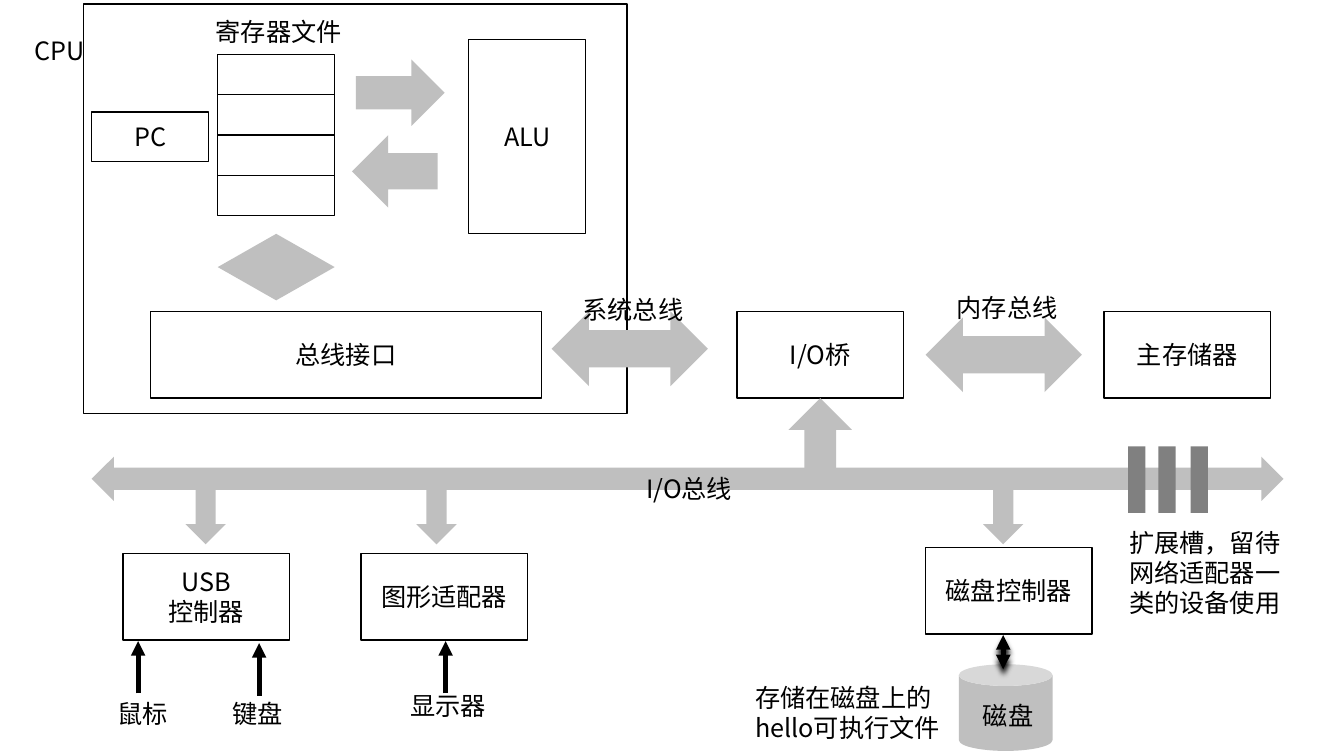
from lxml import etree
from pptx import Presentation
from pptx import util as u
from pptx.dml.color import RGBColor
from pptx.enum import shapes, text
from pptx.oxml.ns import qn

FONT = "Noto Sans CJK SC"
BLACK, BUS_GREY, SLOT_GREY = "000000", "BFBFBF", "808080"
KIND = shapes.MSO_SHAPE


def color(hex_code):
    """Turn a hex string into a colour."""
    return RGBColor.from_string(hex_code)


def inches(*lengths):
    """Turn numbers into lengths in inches."""
    return [u.Inches(length) for length in lengths]


def write(frame, words, align):
    """Fill a text frame and format its runs, East Asian font included."""
    frame.word_wrap = True
    frame.text = words
    for paragraph in frame.paragraphs:
        paragraph.alignment = align
        for run in paragraph.runs:
            run.font.size = u.Pt(18)
            run.font.name = FONT
            run.font.color.rgb = color(BLACK)
            east_asian = etree.SubElement(run.font._element, qn("a:ea"))
            east_asian.set("typeface", FONT)


def add_box(slide, left, top, width, height, words=""):
    """Draw an outlined component with centred words."""
    box = slide.shapes.add_shape(KIND.RECTANGLE, *inches(left, top, width, height))
    box.shadow.inherit = False
    box.fill.background()
    box.line.color.rgb = color(BLACK)
    box.line.width = u.Pt(1)
    if words:
        box.text_frame.vertical_anchor = text.MSO_ANCHOR.MIDDLE
        write(box.text_frame, words, text.PP_ALIGN.CENTER)


def add_solid(slide, kind, left, top, width, height, fill=BUS_GREY):
    """Draw a filled shape without outline."""
    solid = slide.shapes.add_shape(kind, *inches(left, top, width, height))
    solid.shadow.inherit = False
    solid.fill.solid()
    solid.fill.fore_color.rgb = color(fill)
    solid.line.fill.background()
    return solid


def add_label(slide, words, left, top, width, height=0.4):
    """Write a left-aligned caption."""
    label = slide.shapes.add_textbox(*inches(left, top, width, height))
    write(label.text_frame, words, text.PP_ALIGN.LEFT)
    label.text_frame.auto_size = text.MSO_AUTO_SIZE.SHAPE_TO_FIT_TEXT


def add_link(slide, x, start, end, two_way=False):
    """Draw a vertical arrow; a two-way one has two heads and a shadow."""
    link = slide.shapes.add_connector(
        shapes.MSO_CONNECTOR.STRAIGHT, *inches(x, start, x, end))
    link.line.color.rgb = color(BLACK)
    link.line.width = u.Pt(3.5)
    line = link.line._get_or_add_ln()
    for end_tag in ["a:headEnd", "a:tailEnd"] if two_way else ["a:tailEnd"]:
        etree.SubElement(line, qn(end_tag)).set("type", "triangle")
    effects = etree.SubElement(link._element.spPr, qn("a:effectLst"))
    if two_way:
        shadow = etree.SubElement(
            effects, qn("a:outerShdw"), blurRad=str(u.Pt(4)),
            dist=str(u.Pt(4)), dir="5400000", rotWithShape="0")
        tint = etree.SubElement(shadow, qn("a:srgbClr"), val=BLACK)
        etree.SubElement(tint, qn("a:alpha"), val="92000")


def draw_cpu(slide):
    """Draw the processor and its parts."""
    add_box(slide, 0.83, 0.04, 5.39, 4.06)
    add_box(slide, 0.91, 1.11, 1.16, 0.49, "PC")
    for register in range(4):
        add_box(slide, 2.16, 0.54 + 0.4 * register, 1.16, 0.4)
    add_label(slide, "寄存器文件", 2.04, 0.11, 1.78)
    add_box(slide, 4.65, 0.39, 1.16, 1.93, "ALU")
    add_solid(slide, KIND.RIGHT_ARROW, 3.53, 0.59, 0.88, 0.66)
    add_solid(slide, KIND.LEFT_ARROW, 3.49, 1.34, 0.85, 0.72)
    add_box(slide, 1.49, 3.09, 3.88, 0.86, "总线接口")
    register_bus = add_solid(slide, KIND.UP_DOWN_ARROW, 2.16, 2.32, 1.16, 0.66)
    register_bus.adjustments[1] = 0.28


def draw_buses(slide):
    """Draw the bridge, the memory, the buses and the expansion slots."""
    add_box(slide, 7.31, 3.09, 1.65, 0.86, "I/O桥")
    add_box(slide, 10.95, 3.09, 1.65, 0.86, "主存储器")
    for left, top in [(5.47, 3.09), (9.18, 3.15)]:
        add_solid(slide, KIND.LEFT_RIGHT_ARROW, left, top, 1.55, 0.74)
    add_solid(slide, KIND.LEFT_RIGHT_ARROW, 0.91, 4.53, 11.82, 0.44)
    add_solid(slide, KIND.UP_ARROW, 7.82, 3.95, 0.63, 0.74)
    for left in (1.84, 4.13, 9.75):
        add_solid(slide, KIND.DOWN_ARROW, left, 4.74, 0.4, 0.66)
    for left in (11.19, 11.49, 11.81):
        add_solid(slide, KIND.RECTANGLE, left, 4.43, 0.17, 0.66, SLOT_GREY)


def draw_devices(slide):
    """Draw the controllers and the devices attached to them."""
    for words, left, top in [("USB\n控制器", 1.22, 5.49),
                             ("图形适配器", 3.58, 5.49),
                             ("磁盘控制器", 9.18, 5.43)]:
        add_box(slide, left, top, 1.65, 0.86, words)
    add_solid(slide, KIND.CAN, 9.51, 6.59, 0.93, 0.86)
    for words, left, top in [("鼠标", 1.07, 6.88), ("键盘", 2.21, 6.88),
                             ("显示器", 3.97, 6.8), ("磁盘", 9.65, 6.9)]:
        add_label(slide, words, left, top, 1.13)
    for x, start in [(1.37, 6.88), (2.57, 6.9), (4.42, 6.88)]:
        add_link(slide, x, start, start - 0.52)
    add_link(slide, 9.95, 6.64, 6.3, two_way=True)


def draw_captions(slide):
    """Write the notes and the names that lie over the diagram."""
    add_label(slide, "扩展槽，留待网络适配器一类的设备使用", 11.1, 5.18, 1.71, 1.01)
    add_label(slide, "存储在磁盘上的hello可执行文件", 7.39, 6.72, 2.12, 0.71)
    for words, left, top in [("系统总线", 5.68, 2.87), ("内存总线", 9.39, 2.85),
                             ("I/O总线", 6.31, 4.65), ("CPU", 0.24, 0.3)]:
        add_label(slide, words, left, top, 1.34)


def main():
    """Build the computer hardware diagram and save it."""
    deck = Presentation()
    deck.slide_width, deck.slide_height = inches(13.33, 7.5)
    slide = deck.slides.add_slide(deck.slide_layouts[6])
    draw_cpu(slide)
    draw_buses(slide)
    draw_devices(slide)
    draw_captions(slide)
    deck.save("out.pptx")


main()
